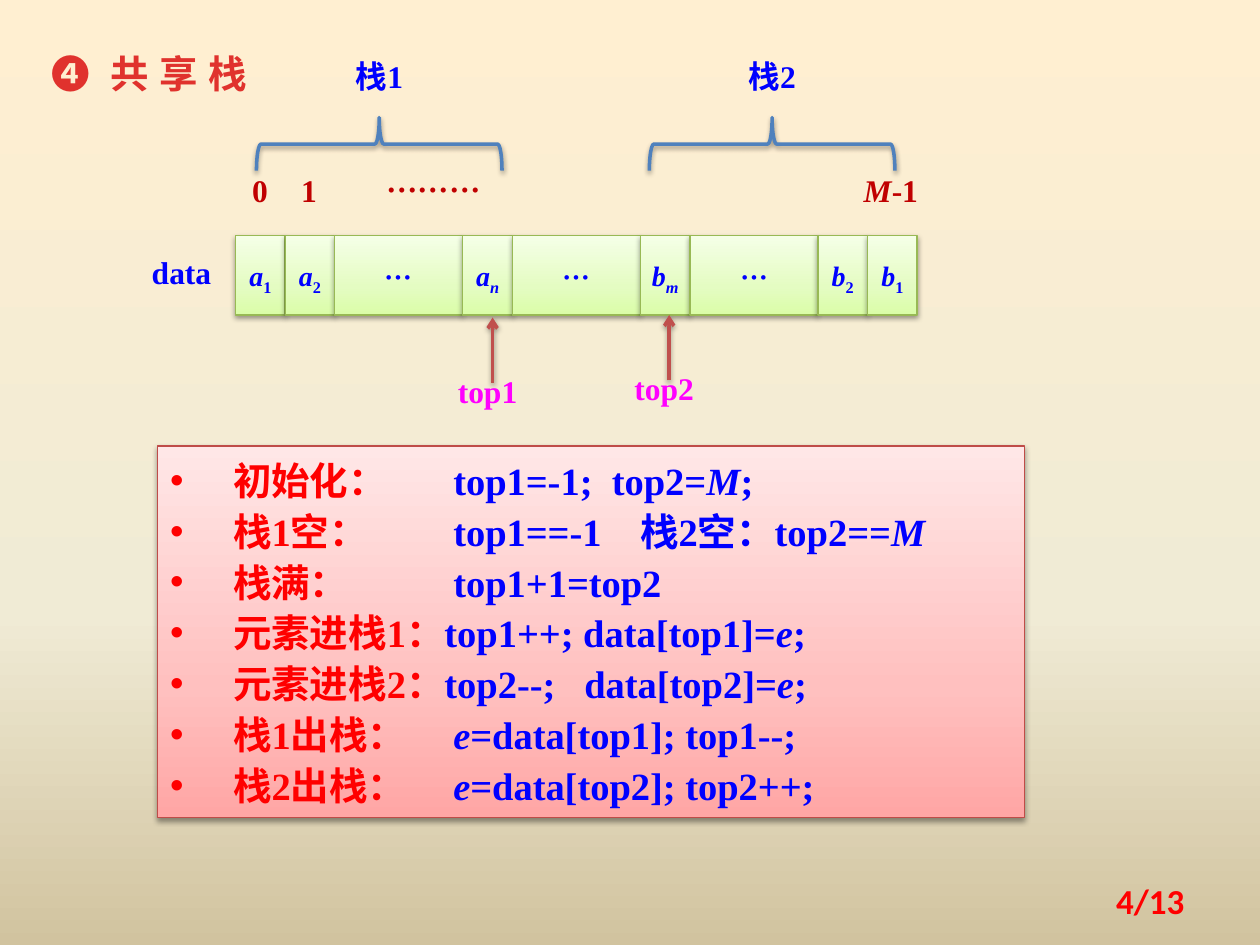
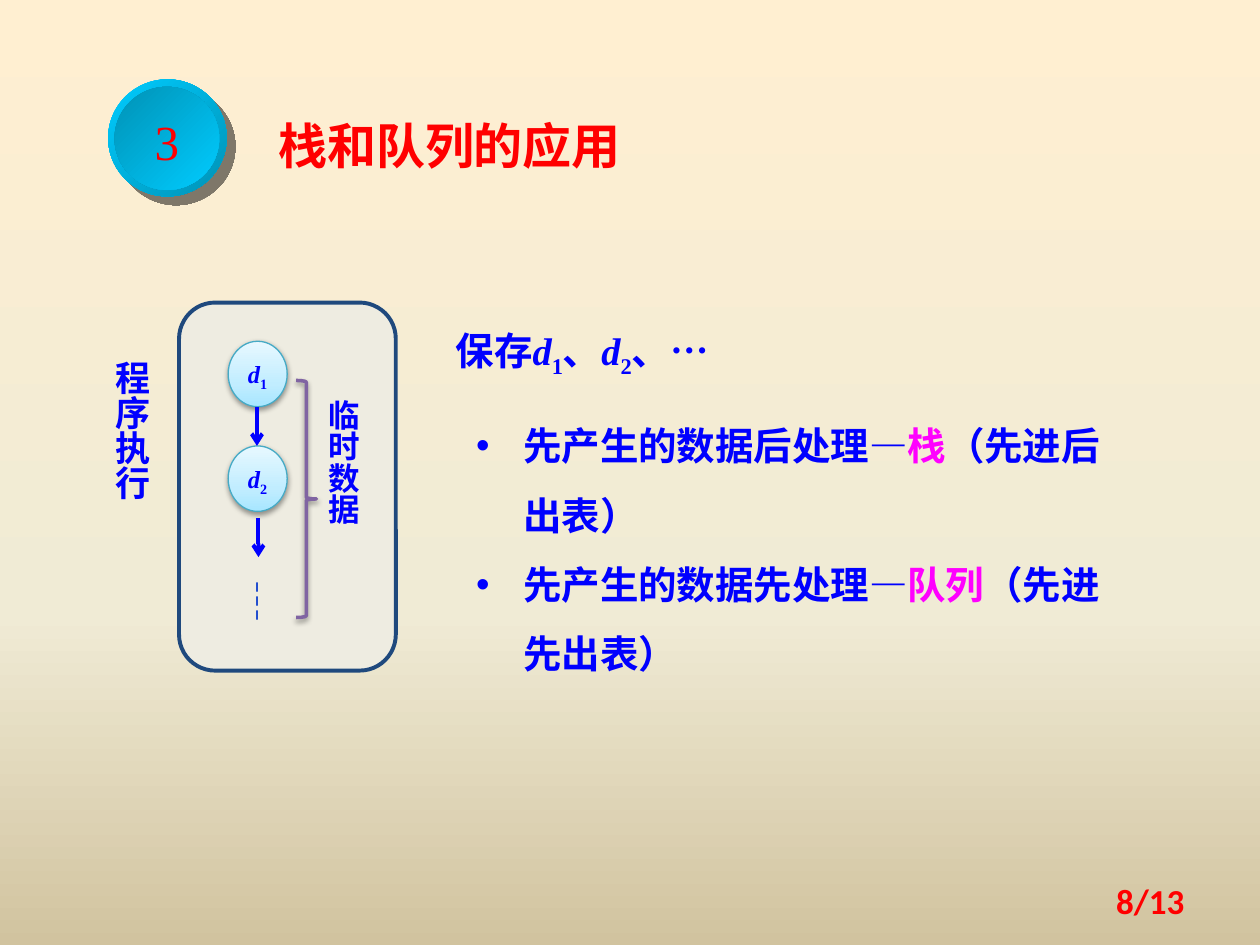
import pptx
import pptx.util
import pptx.dml.color
import pptx.enum.shapes
import pptx.enum.text
import pptx.oxml
import pptx.oxml.ns
import lxml.etree

Cm = pptx.util.Cm
Pt = pptx.util.Pt
RGBColor = pptx.dml.color.RGBColor
qn = pptx.oxml.ns.qn
Shape = pptx.enum.shapes.MSO_SHAPE
Align = pptx.enum.text.PP_ALIGN
Anchor = pptx.enum.text.MSO_ANCHOR

BLACK = RGBColor(0x00, 0x00, 0x00)
SHADE = RGBColor(0x02, 0x02, 0x02)
RED = RGBColor(0xFF, 0x00, 0x00)
TITLE_RED = RGBColor(0xE0, 0x32, 0x2D)
DARK_RED = RGBColor(0xC0, 0x00, 0x00)
ARROW_RED = RGBColor(0xC0, 0x50, 0x4D)
BOX_EDGE = RGBColor(0xBF, 0x4C, 0x48)
BLUE = RGBColor(0x00, 0x00, 0xFF)
DOT_BLUE = RGBColor(0x00, 0x33, 0xCC)
BRACE_BLUE = RGBColor(0x4F, 0x81, 0xBD)
NAVY = RGBColor(0x1F, 0x49, 0x7D)
MAGENTA = RGBColor(0xFF, 0x00, 0xFF)
PURPLE = RGBColor(0x80, 0x64, 0xA2)
GREEN_EDGE = RGBColor(0x98, 0xB9, 0x55)
AQUA_EDGE = RGBColor(0x46, 0xAA, 0xC5)
IVORY = RGBColor(0xEE, 0xEC, 0xE1)
CYAN = RGBColor(0x00, 0xCC, 0xFF)
TEAL = RGBColor(0x00, 0x92, 0xB6)


def three_stops(first, middle, last, share=35):
    return [(0, RGBColor.from_string(first)), (share, RGBColor.from_string(middle)),
            (100, RGBColor.from_string(last))]


BACKGROUND = (three_stops("FFEFD1", "F0EBD5", "D1C39F", 65), 90)
GREEN_FILL = (three_stops("DAFDA7", "E4FCC2", "F5FFE7"), 270)
PINK_FILL = (three_stops("FFA6A5", "FFC0BF", "FFE7E7"), 270)
AQUA_FILL = (three_stops("A7E6FF", "C1EDFF", "E7F8FF"), 270)
RIM_FILL = ([(0, CYAN), (100, TEAL)], 45)
DISC_FILL = ([(0, TEAL), (100, CYAN)], 45)
SOFT_SHADOW = (BLACK, 38, 3.1, 1.6, 90)
HARD_SHADOW = (SHADE, 50, 0, 7.1, 45)

SERIF = "Times New Roman"
CJK = "Noto Sans CJK SC"
BASE = {"size": Pt(18), "name": SERIF, "bold": True, "italic": False, "color": BLUE}
TITLE = {**BASE, "size": Pt(22), "color": TITLE_RED, "spacing": 0.5}
SECTION = {**BASE, "size": Pt(28), "name": CJK, "color": RED}
SECTION_NUMBER = {**BASE, "size": Pt(28), "color": RED, "bold": False}
CELL = {**BASE, "size": Pt(16)}
NODE = {**BASE, "size": Pt(14)}
INDEX = {**BASE, "color": DARK_RED}
POINTER = {**BASE, "color": MAGENTA}
BODY = {**BASE, "size": Pt(22)}
CJK_BODY = {**BODY, "name": CJK}
PAGE = {**BASE, "size": Pt(20), "name": "Calibri", "color": RED}

ITALIC = {"italic": True}
SUB = {"baseline": -25}
ITALIC_SUB = {**ITALIC, **SUB}
LABEL = {"color": RED}
KEYWORD = {"color": MAGENTA}
ARIAL = {"name": "Arial"}
CJK_RUN = {"name": CJK}


def gap(points):
    return (" ", {"spacing": points})


NARROW, WIDE, CELL_HEIGHT = 1.0, 2.58, 1.6
CELL_LEFT, CELL_TOP = 4.75, 4.75
DOTS = [("…", CJK_RUN)]
CELLS = [
    (NARROW, [("a", ITALIC), ("1", SUB)]),
    (NARROW, [("a", ITALIC), ("2", SUB)]),
    (WIDE, DOTS),
    (NARROW, [("a", ITALIC), ("n", ITALIC_SUB)]),
    (WIDE, DOTS),
    (NARROW, [("b", ITALIC), ("m", ITALIC_SUB)]),
    (WIDE, DOTS),
    (NARROW, [("b", ITALIC), ("2", SUB)]),
    (NARROW, [("b", ITALIC), ("1", SUB)]),
]
ARRAY_LABELS = [
    (4.95, 3.38, 0.58, [("0", {})], INDEX),
    (5.94, 3.38, 0.58, [("1", {})], INDEX),
    (17.07, 3.38, 1.78, [("M", ITALIC), ("-1", {})], INDEX),
    (7.54, 3.38, 2.39, [("………", CJK_RUN)], INDEX),
    (2.77, 5.03, 1.78, [("data", {})], BASE),
]
STACKS = [("栈1", 7.65), ("栈2", 15.57)]
POINTERS = [("top1", 9.93, 6.4), ("top2", 13.49, 6.35)]
OPERATIONS = [
    [("初始化：", LABEL), gap(33), ("top1=-1;", {}), gap(5.5), ("top2=", {}),
     ("M", ITALIC), (";", {})],
    [("栈1空：", LABEL), gap(44), ("top1==-1", {}), gap(16.5), ("栈2空：top2==", {}),
     ("M", ITALIC)],
    [("栈满：", LABEL), gap(55), ("top1+1=top2", {})],
    [("元素进栈1：", LABEL), ("top1++; data[top1]=", {}), ("e", ITALIC), (";", {})],
    [("元素进栈2：", LABEL), ("top2--;", {}), gap(11), ("data[top2]=", {}),
     ("e", ITALIC), (";", {})],
    [("栈1出栈：", LABEL), gap(22), ("e", ITALIC), ("=data[top1]; top1--;", {})],
    [("栈2出栈：", LABEL), gap(22), ("e", ITALIC), ("=data[top2]; top2++;", {})],
]

NODES = [("1", 6.88), ("2", 8.99)]
NODE_ARROWS = [(5.18, 8.2), (5.21, 10.44)]
VERTICAL_LABELS = [
    ("程序执行", (2.01, 7.14, 1.4, 4.78), Pt(20)),
    ("临时数据", (6.38, 7.92, 1.24, 3.96), Pt(18)),
]
SAVED = [("保存", {}), ("d", ITALIC), ("1", SUB), ("、", {}), ("d", ITALIC), ("2", SUB),
         ("、", {}), ("…", ARIAL)]
CHOICES = [
    [("先产生的数据后处理", {}), ("―", ARIAL), ("栈", KEYWORD), ("（先进后出表）", {})],
    [("先产生的数据先处理", {}), ("―", ARIAL), ("队列", KEYWORD), ("（先进先出表）", {})],
]


def add_child(parent, tag, **attributes):
    child = lxml.etree.SubElement(parent, qn(tag))
    for name, value in attributes.items():
        child.set(name, str(value))
    return child


def paint_gradient(fill, element, gradient):
    stops, angle = gradient
    fill.gradient()
    stop_list = element.find(".//" + qn("a:gsLst"))
    for old_stop in list(stop_list):
        stop_list.remove(old_stop)
    for position, color in stops:
        stop = add_child(stop_list, "a:gs", pos=position * 1000)
        add_child(stop, "a:srgbClr", val=color)
    element.find(".//" + qn("a:lin")).set("ang", str(angle * 60000))


def add_shadow(effects, shadow):
    color, opacity, blur, distance, angle = shadow
    outer = add_child(effects, "a:outerShdw", blurRad=int(Pt(blur)), dist=int(Pt(distance)),
                      dir=angle * 60000, algn="ctr", rotWithShape=0)
    tone = add_child(outer, "a:srgbClr", val=color)
    add_child(tone, "a:alpha", val=opacity * 1000)


def add_run(paragraph, text, style):
    run = paragraph.add_run()
    run.text = text
    for name in ("size", "name", "bold", "italic"):
        setattr(run.font, name, style[name])
    run.font.color.rgb = style["color"]
    properties = run.font._element
    add_child(properties, "a:ea", typeface=CJK)
    if "baseline" in style:
        properties.set("baseline", str(style["baseline"] * 1000))
    if "spacing" in style:
        properties.set("spc", str(int(style["spacing"] * 100)))


def write(shape, paragraphs, style, align=Align.CENTER, anchor=Anchor.TOP,
          margins=(0, 0), line_spacing=1.1, bullet_indent=0):
    frame = shape.text_frame
    side, top = map(Cm, margins)
    settings = {"word_wrap": True, "vertical_anchor": anchor, "margin_left": side,
                "margin_right": side, "margin_top": top, "margin_bottom": top}
    for name, value in settings.items():
        setattr(frame, name, value)
    for number, runs in enumerate(paragraphs):
        paragraph = frame.add_paragraph() if number else frame.paragraphs[0]
        paragraph.alignment = align
        paragraph.line_spacing = line_spacing
        if bullet_indent:
            properties = paragraph._p.get_or_add_pPr()
            properties.set("marL", str(Cm(bullet_indent)))
            properties.set("indent", str(-Cm(bullet_indent)))
            add_child(properties, "a:buFont", typeface="Arial")
            add_child(properties, "a:buChar", char="•")
        for text, changes in runs:
            add_run(paragraph, text, {**style, **changes})


def add_text(slide, place, paragraphs, style, **layout):
    box = slide.shapes.add_textbox(*map(Cm, place))
    write(box, paragraphs, style, **layout)
    return box


def add_figure(slide, kind, place, fill=None, line=None, shadow=None):
    shape = slide.shapes.add_shape(kind, *map(Cm, place))
    if fill is None:
        shape.fill.background()
    elif isinstance(fill, RGBColor):
        shape.fill.solid()
        shape.fill.fore_color.rgb = fill
    else:
        paint_gradient(shape.fill, shape.element, fill)
    if line:
        shape.line.color.rgb, shape.line.width = line
    else:
        shape.line.fill.background()
    shape.shadow.inherit = False
    if shadow:
        add_shadow(shape.element.spPr.find(qn("a:effectLst")), shadow)
    return shape


def add_arrow(slide, x, start, end, color, width, shadow=None):
    straight = pptx.enum.shapes.MSO_CONNECTOR.STRAIGHT
    arrow = slide.shapes.add_connector(straight, Cm(x), Cm(start), Cm(x), Cm(end))
    arrow.line.color.rgb = color
    arrow.line.width = width
    add_child(arrow.line._get_or_add_ln(), "a:tailEnd", type="arrow")
    effects = add_child(arrow.element.spPr, "a:effectLst")
    if shadow:
        add_shadow(effects, shadow)


def add_page(presentation, number):
    slide = presentation.slides.add_slide(presentation.slide_layouts[6])
    paint_gradient(slide.background.fill, slide.element, BACKGROUND)
    add_text(slide, (18.21, 17.65, 5.92, 1.02), [[(f"{number}/13", {})]], PAGE,
             align=Align.RIGHT, anchor=Anchor.MIDDLE, margins=(0.25, 0.13), line_spacing=1.0)
    return slide


def build_shared_stack(presentation):
    slide = add_page(presentation, 4)
    add_text(slide, (0.79, 0.79, 5.36, 1.22), [[("❹", {}), gap(6.5), ("共 享 栈", {})]], TITLE,
             align=Align.LEFT, margins=(0.25, 0.13))
    left = CELL_LEFT
    for width, runs in CELLS:
        cell = add_figure(slide, Shape.RECTANGLE, (left, CELL_TOP, width, CELL_HEIGHT),
                          GREEN_FILL, (GREEN_EDGE, Pt(0.75)), SOFT_SHADOW)
        write(cell, [runs], CELL, anchor=Anchor.MIDDLE, margins=(0, 0.13))
        left += width
    for left, top, width, runs, style in ARRAY_LABELS:
        add_text(slide, (left, top, width, 0.84), [runs], style)
    for name, center in STACKS:
        brace = add_figure(slide, Shape.LEFT_BRACE, (center - 0.54, 0.43, 1.07, 4.95),
                           line=(BRACE_BLUE, Pt(2)), shadow=SOFT_SHADOW)
        brace.rotation = 90
        add_text(slide, (center - 0.89, 1.07, 1.78, 0.84), [[(name, {})]], BASE)
    for name, center, tip in POINTERS:
        add_arrow(slide, center, tip + 1.32, tip, ARROW_RED, Pt(2), SOFT_SHADOW)
        add_text(slide, (center - 0.99, tip + 1.02, 1.78, 0.84), [[(name, {})]], POINTER)
    operations = add_figure(slide, Shape.RECTANGLE, (3.18, 8.99, 17.48, 7.49),
                            PINK_FILL, (BOX_EDGE, Pt(0.75)), SOFT_SHADOW)
    write(operations, OPERATIONS, BODY, align=Align.LEFT, margins=(0.25, 0.13),
          bullet_indent=1.27)


def build_applications(presentation):
    slide = add_page(presentation, 8)
    add_figure(slide, Shape.ROUNDED_RECTANGLE, (3.61, 6.1, 4.37, 7.42), IVORY,
               (NAVY, Pt(2.25)))
    add_figure(slide, Shape.OVAL, (2.18, 1.6, 2.39, 2.36), RIM_FILL, shadow=HARD_SHADOW)
    disc = add_figure(slide, Shape.OVAL, (2.31, 1.75, 2.11, 2.08), DISC_FILL)
    write(disc, [[("3", {})]], SECTION_NUMBER, anchor=Anchor.MIDDLE)
    add_text(slide, (5.36, 2.08, 9.0, 1.47), [[("栈和队列的应用", {})]], SECTION,
             align=Align.LEFT, margins=(0.25, 0.13))
    for subscript, top in NODES:
        node = add_figure(slide, Shape.OVAL, (4.6, top, 1.19, 1.32), AQUA_FILL,
                          (AQUA_EDGE, Pt(0.75)), SOFT_SHADOW)
        write(node, [[("d", ITALIC), (subscript, SUB)]], NODE, anchor=Anchor.MIDDLE)
    for x, start in NODE_ARROWS:
        add_arrow(slide, x, start, start + 0.79, BLUE, Pt(2.25))
    add_text(slide, (4.7, 11.38, 0.99, 1.4), [[("┆", {})]],
             {**CJK_BODY, "size": Pt(24), "color": DOT_BLUE}, margins=(0, 0.13))
    for text, place, size in VERTICAL_LABELS:
        label = add_text(slide, place, [[(text, {})]], {**CJK_BODY, "size": size},
                         margins=(0.25, 0.13))
        label.element.find(".//" + qn("a:bodyPr")).set("vert", "eaVert")
    add_text(slide, (8.94, 6.35, 8.13, 1.19), [SAVED], BODY, align=Align.LEFT,
             margins=(0.25, 0.13))
    add_text(slide, (9.35, 7.92, 13.46, 5.74), CHOICES, CJK_BODY, align=Align.LEFT,
             margins=(0.25, 0.13), line_spacing=1.5, bullet_indent=0.95)
    add_figure(slide, Shape.RIGHT_BRACE, (5.97, 7.67, 0.41, 4.78), line=(PURPLE, Pt(2)),
               shadow=SOFT_SHADOW)


def main():
    presentation = pptx.Presentation()
    presentation.slide_width = Cm(25.4)
    presentation.slide_height = Cm(19.05)
    build_shared_stack(presentation)
    build_applications(presentation)
    presentation.save("out.pptx")


if __name__ == "__main__":
    main()
